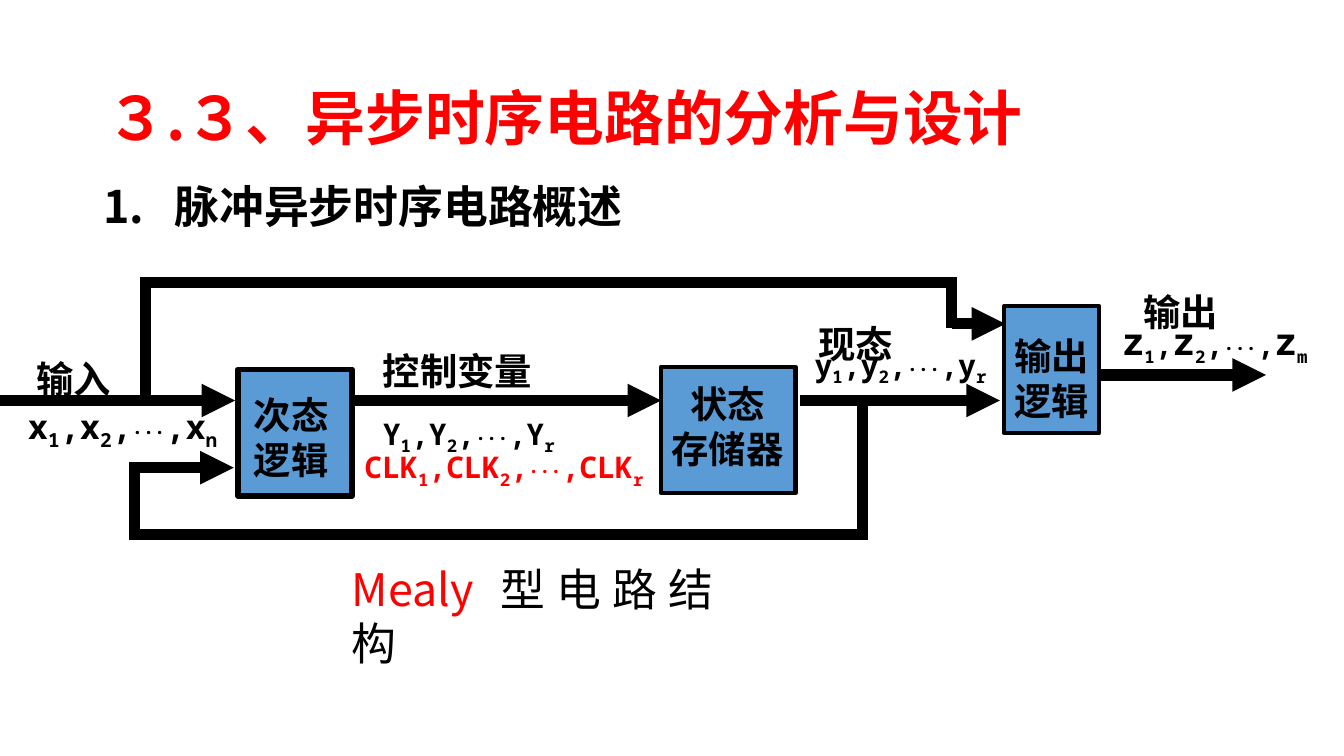
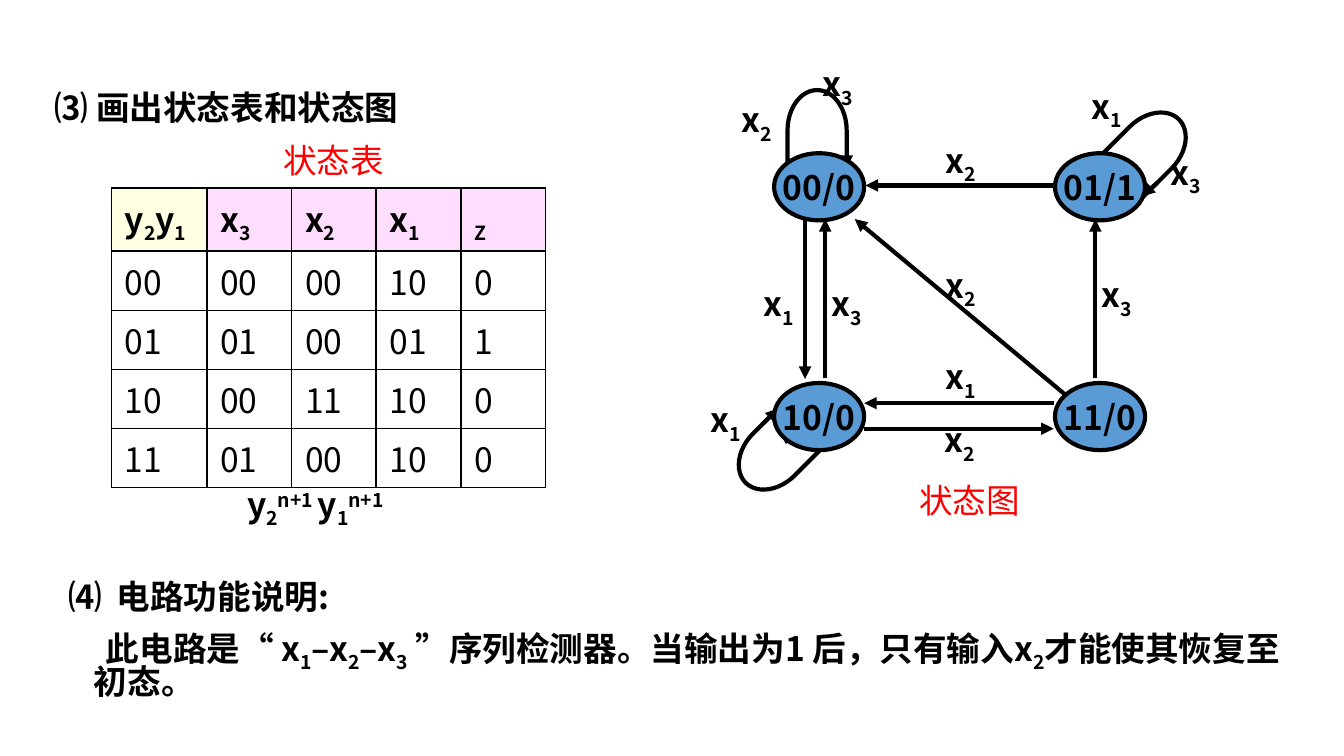
from dataclasses import dataclass, replace
from typing import Optional

from lxml.etree import SubElement
from pptx import Presentation
from pptx.dml.color import RGBColor
from pptx.enum.shapes import MSO_CONNECTOR, MSO_SHAPE
from pptx.enum.text import MSO_ANCHOR, PP_ALIGN
from pptx.oxml import parse_xml
from pptx.oxml.ns import nsdecls, qn
from pptx.util import Emu, Pt

EMU_PER_PX = 9144


@dataclass(frozen=True)
class Theme:
    black: str = "000000"
    red: str = "FF0000"
    blue: str = "5B9BD5"
    white: str = "FFFFFF"
    cream: str = "FFFFE1"
    pink: str = "FFDDFF"
    heading_font: str = "Noto Sans CJK JP"
    body_font: str = "Noto Sans CJK SC"
    signal_font: str = "Noto Sans Mono"
    title_size: int = 32
    subtitle_size: int = 24
    block_size: int = 20
    text_size: int = 18
    signal_size: int = 16
    dots_size: int = 10
    bus_width: float = 6
    line_width: float = 2.25


THEME = Theme()


@dataclass(frozen=True)
class Style:
    size: int
    font: str = THEME.heading_font
    color: str = THEME.black
    bold: bool = True
    align: PP_ALIGN = PP_ALIGN.LEFT


@dataclass(frozen=True)
class Run:
    text: str
    base: int = 0
    size: Optional[int] = None
    color: Optional[str] = None
    tracking: int = 0


@dataclass(frozen=True)
class Layout:
    margin: int = 0
    indent: int = 0
    spacing: Optional[float] = None
    before: int = 0


BLOCK = Style(THEME.block_size, align=PP_ALIGN.JUSTIFY)
CAPTION = Style(THEME.text_size, color=THEME.red, bold=False)
NOTE = Style(THEME.text_size)
SYMBOL = Style(THEME.text_size, THEME.body_font)
SIGNAL = Style(THEME.signal_size, THEME.signal_font)


def px(value):
    return Emu(value * EMU_PER_PX)


def rgb(value):
    return RGBColor.from_string(value)


def indexed(letter, index):
    return [Run(letter), Run(index, -25)]


def sequence(letter, last, letter_size=None):
    runs = []
    for index in ("1", "2", last):
        if index == last:
            runs.append(Run("···", size=THEME.dots_size))
            runs.append(Run(","))
        runs += [Run(letter, size=letter_size), Run(index, -25)]
        if index != last:
            runs.append(Run(","))
    return runs


def write_paragraph(paragraph, runs, style, layout=Layout()):
    properties = paragraph._p.get_or_add_pPr()
    if layout.margin:
        properties.set("marL", str(px(layout.margin)))
        properties.set("indent", str(px(layout.indent)))
    paragraph.alignment = style.align
    if layout.spacing:
        paragraph.line_spacing = layout.spacing
    if layout.before:
        paragraph.space_before = Pt(layout.before)
    for item in runs:
        run = paragraph.add_run()
        run.text = item.text
        font = run.font
        font.name = style.font
        font.size = Pt(item.size or style.size)
        font.bold = style.bold
        font.color.rgb = rgb(item.color or style.color)
        run_properties = run._r.get_or_add_rPr()
        SubElement(run_properties, qn("a:ea")).set("typeface", style.font)
        if item.base:
            run_properties.set("baseline", str(item.base * 1000))
        if item.tracking:
            run_properties.set("spc", str(item.tracking))


def add_text(slide, box, paragraphs, style, layouts=None, anchor=MSO_ANCHOR.TOP):
    shape = slide.shapes.add_textbox(*map(px, box))
    frame = shape.text_frame
    frame.word_wrap = True
    frame.vertical_anchor = anchor
    for index, runs in enumerate(paragraphs):
        paragraph = frame.add_paragraph() if index else frame.paragraphs[0]
        layout = layouts[index] if layouts else Layout()
        write_paragraph(paragraph, runs, style, layout)


def add_label(slide, box, text, style):
    add_text(slide, box, [[Run(line)] for line in text.split("\n")], style)


def add_preset(slide, kind, box, fill=None, width=THEME.line_width, rotation=0):
    shape = slide.shapes.add_shape(kind, *map(px, box))
    shape.shadow.inherit = False
    shape.rotation = rotation
    if fill:
        shape.fill.solid()
        shape.fill.fore_color.rgb = rgb(fill)
    else:
        shape.fill.background()
    shape.line.color.rgb = rgb(THEME.black)
    shape.line.width = Pt(width)
    return shape


def add_line(slide, points, width=THEME.line_width, arrow=True):
    connector = slide.shapes.add_connector(MSO_CONNECTOR.STRAIGHT, *map(px, points))
    connector.line.color.rgb = rgb(THEME.black)
    connector.line.width = Pt(width)
    if arrow:
        SubElement(connector.line._get_or_add_ln(), qn("a:tailEnd")).set("type", "triangle")
    SubElement(connector._element.spPr, qn("a:effectLst"))


def add_state(slide, left, top, text):
    shape = add_preset(slide, MSO_SHAPE.OVAL, (left, top, 67, 50), THEME.blue)
    frame = shape.text_frame
    frame.word_wrap = False
    frame.vertical_anchor = MSO_ANCHOR.MIDDLE
    style = replace(SYMBOL, align=PP_ALIGN.CENTER)
    write_paragraph(frame.paragraphs[0], [Run(text)], style)


def add_edge_label(slide, left, top, index):
    add_text(slide, (left + 3, top, 75, 44), [indexed("x", index)], SYMBOL)


def style_cell(cell, runs, fill, bold):
    cell.fill.solid()
    cell.fill.fore_color.rgb = rgb(fill)
    cell.vertical_anchor = MSO_ANCHOR.MIDDLE
    cell.margin_left = cell.margin_right = px(10)
    cell.margin_top = cell.margin_bottom = px(4)
    write_paragraph(cell.text_frame.paragraphs[0], runs, replace(SYMBOL, bold=bold))
    properties = cell._tc.get_or_add_tcPr()
    for index, side in enumerate(("lnL", "lnR", "lnT", "lnB")):
        border = parse_xml(
            f'<a:{side} {nsdecls("a")} w="12700"><a:solidFill>'
            f'<a:srgbClr val="{THEME.black}"/></a:solidFill></a:{side}>'
        )
        properties.insert(index, border)


def add_state_table(slide):
    header = [indexed("y", "2") + indexed("y", "1")]
    header += [indexed("x", index) for index in "321"] + [[Run("Z", -25)]]
    states = ["00 00 00 10 0", "01 01 00 01 1", "10 00 11 10 0", "11 01 00 10 0"]
    rows = [header] + [[[Run(value)] for value in state.split()] for state in states]
    table = slide.shapes.add_table(5, 5, px(83), px(140), px(323), px(223)).table
    table.first_row = table.horz_banding = False
    for index, column in enumerate(table.columns):
        column.width = px(63 if index else 71)
    for row_index, row in enumerate(rows):
        table.rows[row_index].height = px(44 if row_index else 47)
        for column_index, runs in enumerate(row):
            head_fill = THEME.pink if column_index else THEME.cream
            fill = THEME.white if row_index else head_fill
            style_cell(table.cell(row_index, column_index), runs, fill, row_index == 0)


def build_mealy_slide(slide):
    title = Style(THEME.title_size, color=THEME.red, align=PP_ALIGN.CENTER)
    add_text(slide, (2, 56, 847, 62), [[Run("３.３、异步时序电路的分析与设计 ")]],
             title, anchor=MSO_ANCHOR.MIDDLE)
    add_text(slide, (67, 116, 642, 56), [[Run("1.\t脉冲异步时序电路概述")]],
             Style(THEME.subtitle_size), [Layout(53, -53, 1.3)])
    add_text(slide, (252, 413, 291, 38),
             [[Run("Mealy ", color=THEME.red), Run("型电路结构", tracking=150)]],
             Style(THEME.subtitle_size, bold=False, align=PP_ALIGN.JUSTIFY))

    for points in ((0, 298, 175, 298), (708, 241, 748, 241), (250, 298, 492, 298),
                   (595, 298, 744, 298), (96, 348, 174, 348), (817, 279, 942, 279)):
        add_line(slide, points, THEME.bus_width)
    for points in ((108, 298, 108, 210), (104, 210, 712, 210), (708, 213, 708, 244),
                   (642, 298, 642, 398), (96, 398, 646, 398), (100, 348, 100, 398)):
        add_line(slide, points, THEME.bus_width, arrow=False)

    for box, width in (((747, 228, 71, 94), 2.25), ((492, 273, 100, 94), 2.25),
                       ((177, 275, 85, 94), 3)):
        add_preset(slide, MSO_SHAPE.RECTANGLE, box, THEME.blue, width)

    for box, text in (((17, 260, 92, 32), "输入"), ((275, 254, 150, 38), "控制变量"),
                      ((841, 210, 100, 36), "输出"), ((599, 234, 84, 38), "现态"),
                      ((745, 243, 94, 59), "输出\n逻辑"),
                      ((179, 287, 88, 60), "次态\n逻辑")):
        add_label(slide, box, text, BLOCK)
    add_label(slide, (485, 279, 113, 60), "状态\n存储器",
              replace(BLOCK, align=PP_ALIGN.CENTER))

    centred = replace(SIGNAL, align=PP_ALIGN.CENTER)
    for box, runs, style in (
        ((11, 297, 164, 34), sequence("x", "n"), replace(SIGNAL, size=THEME.text_size)),
        ((250, 329, 250, 31), sequence("CLK", "r"), replace(centred, color=THEME.red)),
        ((556, 253, 228, 31), sequence("y", "r"), centred),
        ((825, 232, 195, 43), sequence("z", "m", THEME.block_size), SIGNAL),
        ((275, 304, 181, 31), sequence("Y", "r"), SIGNAL),
    ):
        add_text(slide, box, [runs], style)


def build_state_slide(slide):
    add_text(slide, (31, 63, 492, 50), [[Run("⑶ 画出状态表和状态图")]], NOTE,
             [Layout(spacing=0.9)])
    conclusion = [Run("此电路是“ x"), Run("1", -25), Run("–x"), Run("2", -25),
                  Run("–x"), Run("3", -25), Run(" ”序列检测器。当输出为1 后，只有输入x"),
                  Run("2", -25), Run("才能使其恢复至初态。")]
    add_text(slide, (41, 432, 926, 125), [[Run("⑷\t电路功能说明:")], conclusion], NOTE,
             [Layout(36, -36, 0.7), Layout(19, 9, 0.8, 9)])

    add_state_table(slide)
    next_state = (indexed("y", "2") + [Run("n+1 ", 30)]
                  + indexed("y", "1") + [Run("n+1", 30)])
    add_text(slide, (174, 355, 175, 45), [next_state], SYMBOL)
    add_label(slide, (674, 352, 167, 40), "状态图", CAPTION)
    add_label(slide, (201, 99, 125, 40), "状态表", CAPTION)

    for left, top, index in ((691, 99, "2"), (691, 192, "2"), (691, 260, "1"),
                             (690, 307, "2"), (807, 199, "3"), (555, 206, "1"),
                             (606, 206, "3"), (539, 69, "2"), (599, 42, "3"),
                             (799, 59, "1"), (858, 108, "3"), (516, 292, "1")):
        add_edge_label(slide, left, top, index)

    for left, top, rotation in ((578, 75, 270), (546, 316, 135), (826, 88, 315)):
        add_preset(slide, MSO_SHAPE.FLOWCHART_DELAY, (left, top, 60, 44), rotation=rotation)
    for points in ((584, 329, 606, 316), (630, 112, 630, 125),
                   (568, 315, 579, 304), (861, 136, 850, 146),
                   (815, 281, 815, 163), (793, 294, 636, 163), (785, 138, 644, 138),
                   (599, 164, 599, 282), (614, 281, 614, 163),
                   (784, 300, 643, 300), (643, 319, 784, 319)):
        add_line(slide, points)
    for left, top, text in ((576, 114, "00/0"), (785, 114, "01/1"),
                            (576, 285, "10/0"), (785, 285, "11/0")):
        add_state(slide, left, top, text)


def main():
    presentation = Presentation()
    presentation.slide_width = px(1000)
    presentation.slide_height = Emu(presentation.slide_width * 9 // 16)
    blank = presentation.slide_layouts[6]
    for build in (build_mealy_slide, build_state_slide):
        build(presentation.slides.add_slide(blank))
    presentation.save("out.pptx")


if __name__ == "__main__":
    main()
